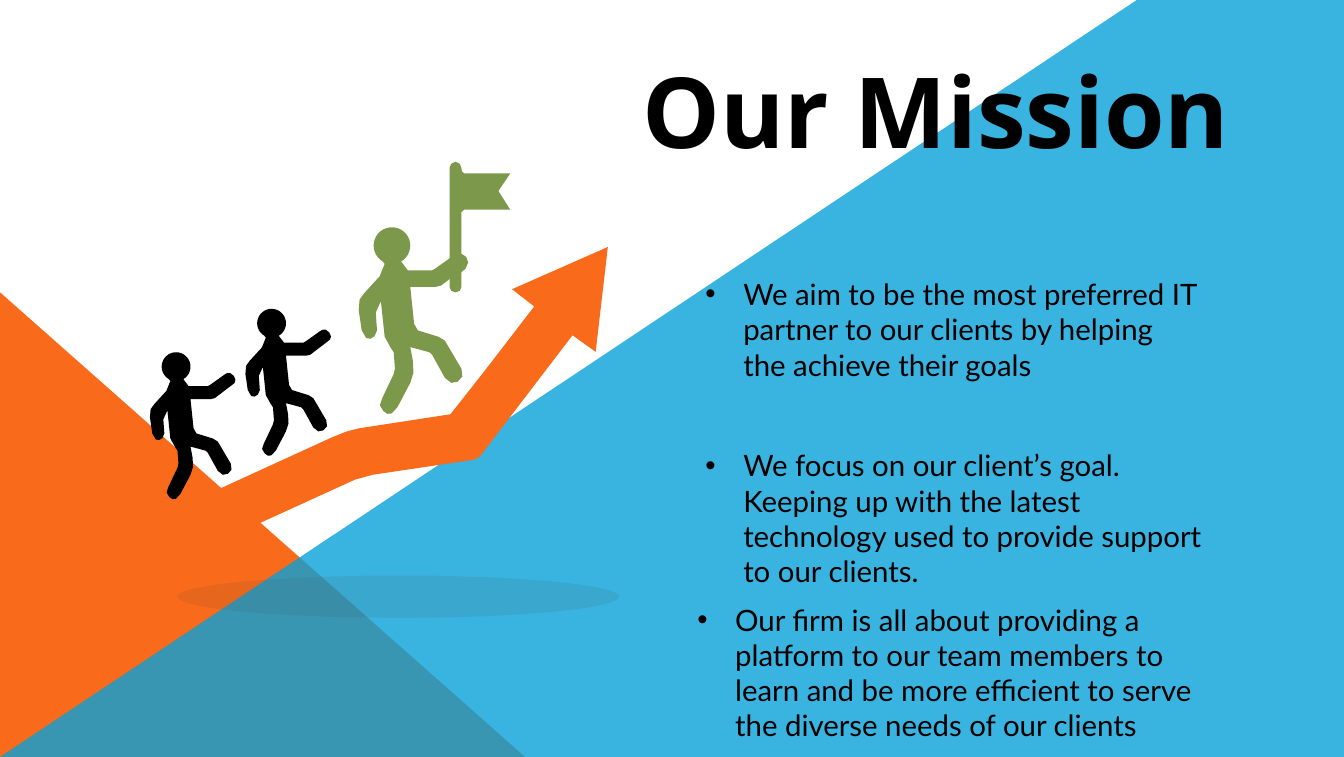
from math import cos, radians, sin

from lxml.etree import SubElement
from pptx import Presentation
from pptx.dml.color import RGBColor
from pptx.enum.shapes import MSO_SHAPE
from pptx.enum.text import MSO_AUTO_SIZE, PP_ALIGN
from pptx.oxml.ns import qn
from pptx.util import Pt

COLOURS = {
    "orange": "F96A1B",
    "blue": "08A1D9",
    "green": "7C984A",
    "shadow": "434342",
    "black": "000000",
}
SLIDE_WIDTH, SLIDE_HEIGHT = 960, 540.7

HEAD = [
    (19.2 + 10.3 * cos(radians(angle)), 10.6 + 10.3 * sin(radians(angle)))
    for angle in range(120, 421, 10)
]
BODY = [
    (28.1, 24.5), (41.8, 24.5), (43.2, 23.8), (53.3, 16.6), (55.4, 15.3),
    (57.8, 15.1), (60.5, 17.3), (61.6, 20), (61, 22.2), (59, 23.8),
    (46.8, 33.1), (43.9, 33.8), (29.5, 33.8), (31.7, 54.7), (33.8, 58.3),
    (45.4, 61.9), (49, 64.1), (58.3, 79.9), (58.8, 84.2), (56.2, 87.1),
    (52.6, 87.8), (49, 85), (41.8, 72), (40.3, 70.6), (29.5, 67.7),
    (31, 75.6), (31.3, 82.1), (29.5, 87.8), (22.3, 101.5), (19, 105),
    (16.6, 105.2), (14.4, 103.7), (12.4, 100.4), (13.7, 96.5), (20.2, 82.8),
    (20.9, 79.9), (20.2, 70.6), (18.7, 68.4), (15.1, 61.9), (13, 41.8),
    (10.1, 48.2), (10.8, 58.3), (9.4, 61.6), (7, 63), (4.7, 62.6),
    (2.2, 58.3), (0.5, 46.8), (1, 41), (3.6, 37.4), (10.8, 29.5),
    (12.2, 28.1), (15.1, 20.9),
]
CLIMBERS = [
    (106.6, 251.3, 1, "black"),
    (174.8, 220.3, 1, "black"),
    (255.6, 162, 1.27, "green"),
]
FLAG = [
    (321.1, 120), (322.3, 117), (325.4, 115.5), (328.4, 117), (329.6, 120),
    (330, 122.5), (331.5, 123.8), (364.5, 123.8), (356, 136.4), (364.5, 149.8),
    (331.5, 149.8), (329.6, 151.5), (329.6, 205), (328.4, 207.8),
    (325.4, 208.8), (322.3, 207.8), (321.1, 205),
]
HAND = [(329, 181), (333, 183.5), (334.4, 187.5), (332.5, 192), (329, 195)]
GROWTH_ARROW = [
    (365.8, 206.6), (434.2, 176.4), (425.5, 251.3), (409, 239.5), (342.7, 326.2),
    (339.1, 328.3), (266.4, 339.1), (253.4, 342.7), (130.3, 398.9), (128.2, 398.2),
    (115.2, 370.8), (115.9, 367.9), (236.9, 312.5), (247.7, 308.2), (256.3, 306),
    (321.8, 295.9), (345.6, 265.7), (381.6, 218.9),
]
GOALS = [
    (496.8, 193.7, 368.6, 83.5,
     "We aim to be the most preferred IT partner to our clients by helping "
     "the achieve their goals"),
    (496.8, 316.1, 385.2, 83.5,
     "We focus on our client’s goal. Keeping up with the latest technology "
     "used to provide support to our clients."),
    (491, 426.2, 396.7, 108.7,
     "Our firm is all about providing a platform to our team members to learn "
     "and be more efficient to serve the diverse needs of our clients"),
]


def paint(shape, colour, opacity=100):
    """Fill a shape with a colour, without outline or shadow."""
    shape.shadow.inherit = False
    shape.line.fill.background()
    shape.fill.solid()
    shape.fill.fore_color.rgb = RGBColor.from_string(COLOURS[colour])
    if opacity < 100:
        tint = shape.fill._xPr.find(qn("a:solidFill"))[0]
        SubElement(tint, qn("a:alpha")).set("val", str(opacity * 1000))


def add_preset(slide, preset, left, top, width, height, colour, opacity=100):
    """Add a painted preset shape."""
    shape = slide.shapes.add_shape(preset, Pt(left), Pt(top), Pt(width), Pt(height))
    paint(shape, colour, opacity)


def add_outline(slide, corners, colour, opacity=100):
    """Add a painted closed outline through the corners."""
    points = [(Pt(x), Pt(y)) for x, y in corners]
    builder = slide.shapes.build_freeform(*points[0])
    builder.add_line_segments(points[1:], close=True)
    paint(builder.convert_to_shape(), colour, opacity)


def add_climber(slide, left, top, scale, colour):
    """Add a climbing figure at a place and scale."""
    outline = [(left + x * scale, top + y * scale) for x, y in HEAD + BODY]
    add_outline(slide, outline, colour)


def add_text(slide, left, top, width, height, words, font_name, size):
    """Add a text box with one run and return its paragraph."""
    box = slide.shapes.add_textbox(Pt(left), Pt(top), Pt(width), Pt(height))
    frame = box.text_frame
    frame.word_wrap = True
    frame.auto_size = MSO_AUTO_SIZE.SHAPE_TO_FIT_TEXT
    paragraph = frame.paragraphs[0]
    run = paragraph.add_run()
    run.text = words
    run.font.name = font_name
    run.font.size = Pt(size)
    run.font.color.rgb = RGBColor.from_string(COLOURS["black"])
    return paragraph


def add_title(slide, words):
    """Add the bold centred title."""
    title = add_text(slide, 434.2, 32.4, 468.7, 92.2, words, "Noto Sans", 70)
    title.alignment = PP_ALIGN.CENTER
    title.runs[0].font.bold = True


def add_goal(slide, left, top, width, height, words):
    """Add a bulleted goal with a hanging indent."""
    goal = add_text(slide, left, top, width, height, words, "Lato", 21)
    properties = goal._p.get_or_add_pPr()
    properties.set("marL", str(Pt(27)))
    properties.set("indent", str(-Pt(27)))
    SubElement(properties, qn("a:buFont")).set("typeface", "Arial")
    SubElement(properties, qn("a:buChar")).set("char", "•")


def main():
    """Build the mission slide."""
    deck = Presentation()
    deck.slide_width, deck.slide_height = Pt(SLIDE_WIDTH), Pt(SLIDE_HEIGHT)
    slide = deck.slides.add_slide(deck.slide_layouts[6])
    add_preset(slide, MSO_SHAPE.RIGHT_TRIANGLE, 0, 208.8, 375.1, 331.9, "orange")
    blue_area = [
        (0, SLIDE_HEIGHT), (812, 0), (SLIDE_WIDTH, 0), (SLIDE_WIDTH, SLIDE_HEIGHT),
    ]
    add_outline(slide, blue_area, "blue", 80)
    add_preset(slide, MSO_SHAPE.OVAL, 126.7, 411.1, 315.4, 30.2, "shadow", 10)
    add_title(slide, "Our Mission")
    add_outline(slide, GROWTH_ARROW, "orange")
    for climber in CLIMBERS:
        add_climber(slide, *climber)
    for part in (FLAG, HAND):
        add_outline(slide, part, "green")
    for goal in GOALS:
        add_goal(slide, *goal)
    deck.save("out.pptx")


if __name__ == "__main__":
    main()
